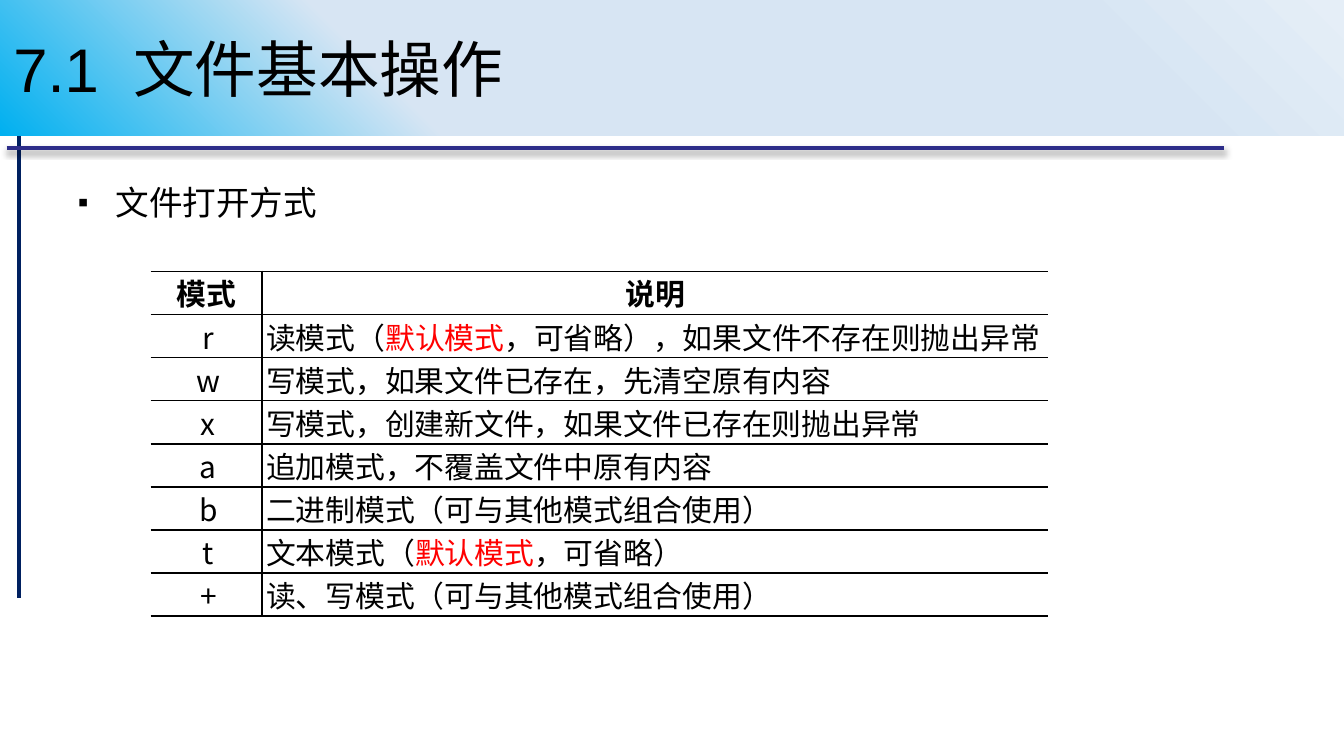
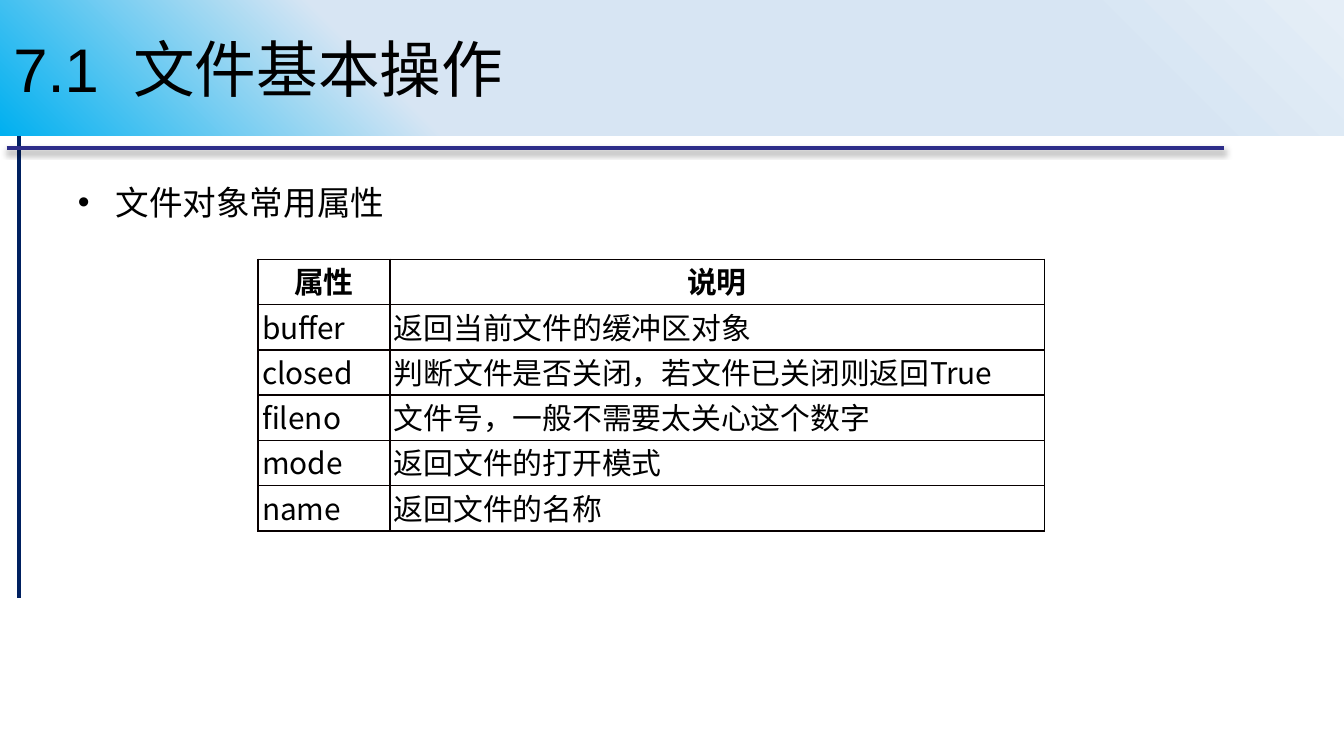
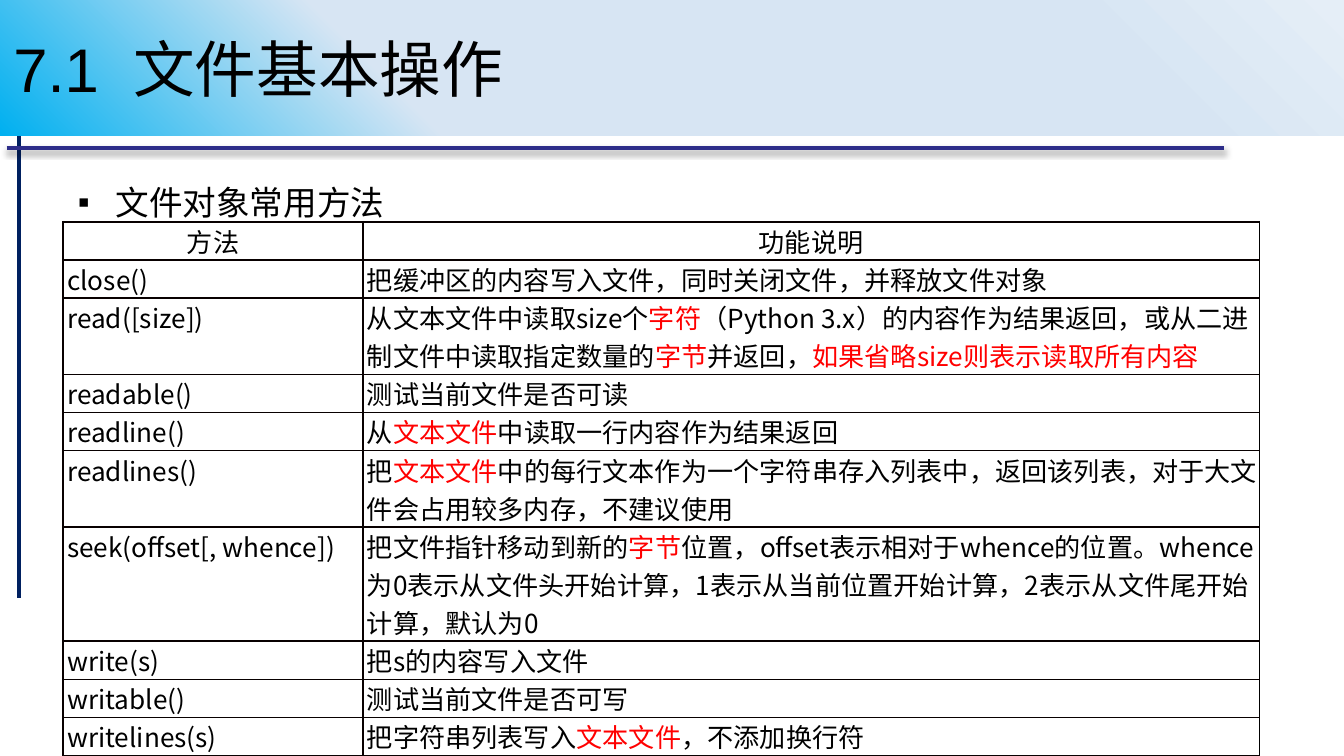
"""Build three slides on basic file operations."""
from lxml.etree import SubElement
from pptx import Presentation
from pptx.dml.color import RGBColor
from pptx.enum.shapes import MSO_CONNECTOR
from pptx.enum.text import MSO_ANCHOR, PP_ALIGN
from pptx.oxml.ns import qn
from pptx.util import Inches, Pt

BLACK = RGBColor(0x00, 0x00, 0x00)
GRID = RGBColor(0x08, 0x00, 0x00)
RED = RGBColor(0xFF, 0x00, 0x00)
NAVY = RGBColor(0x00, 0x20, 0x60)
INDIGO = RGBColor(0x2D, 0x2D, 0x89)
SKY = RGBColor(0x00, 0xB0, 0xF0)
PALE = RGBColor(0xD7, 0xE5, 0xF3)
MIST = RGBColor(0xE5, 0xEE, 0xF7)

LATIN, CJK = "Arial", "Noto Sans CJK SC"
TITLE = "7.1  文件基本操作"
BAND_STOPS = [(0, SKY), (30, PALE), (81, PALE), (100, MIST)]
RULES = [((0.14, 0.81), (0.14, 4.45), NAVY), ((0.05, 1.1), (9.11, 1.1), INDIGO)]

THIN, FULL, INK = (BLACK, 0.75), (GRID, 1), (BLACK, 1)
BOXED = [dict(L=FULL, R=FULL, T=FULL, B=FULL), dict(L=FULL, R=THIN, T=FULL, B=FULL)]
OPEN_SIDED = [dict(R=INK, T=INK, B=INK), dict(L=INK, T=INK, B=INK)]
HIGHLIGHT = "|"

TOPICS = [
    dict(
        heading="文件打开方式", bullet="▪", bullet_size=90,
        at=(1.12, 2.02), columns=(0.83, 5.85), heights=[0.3] + [0.27] * 7,
        size=16, bold_header=True, key_align=PP_ALIGN.CENTER, borders=OPEN_SIDED,
        rows=[
            ("模式", "说明"),
            ("r", "读模式（|默认模式|，可省略），如果文件不存在则抛出异常"),
            ("w", "写模式，如果文件已存在，先清空原有内容"),
            ("x", "写模式，创建新文件，如果文件已存在则抛出异常"),
            ("a", "追加模式，不覆盖文件中原有内容"),
            ("b", "二进制模式（可与其他模式组合使用）"),
            ("t", "文本模式（|默认模式|，可省略）"),
            ("+", "读、写模式（可与其他模式组合使用）"),
        ],
    ),
    dict(
        heading="文件对象常用属性", bullet="•", bullet_size=100,
        at=(1.92, 1.93), columns=(0.98, 4.87), heights=[2.02 / 6] * 6,
        size=16, bold_header=True, key_align=PP_ALIGN.LEFT, borders=BOXED,
        rows=[
            ("属性", "说明"),
            ("buffer", "返回当前文件的缓冲区对象"),
            ("closed", "判断文件是否关闭，若文件已关闭则返回True"),
            ("fileno", "文件号，一般不需要太关心这个数字"),
            ("mode", "返回文件的打开模式"),
            ("name", "返回文件的名称"),
        ],
    ),
    dict(
        heading="文件对象常用方法", bullet="▪", bullet_size=100,
        at=(0.47, 1.65), columns=(2.23, 6.67),
        heights=[0.17, 0.17, 0.35, 0.17, 0.17, 0.35, 0.41, 0.17, 0.17, 0.17],
        size=14, bold_header=False, key_align=PP_ALIGN.LEFT, borders=BOXED,
        rows=[
            ("方法", "功能说明"),
            ("close()", "把缓冲区的内容写入文件，同时关闭文件，并释放文件对象"),
            ("read([size])", "从文本文件中读取size个|字符|（Python 3.x）的内容作为结果返回，"
             "或从二进制文件中读取指定数量的|字节|并返回，|如果省略size则表示读取所有内容"),
            ("readable()", "测试当前文件是否可读"),
            ("readline()\t", "从|文本文件|中读取一行内容作为结果返回"),
            ("readlines()", "把|文本文件|中的每行文本作为一个字符串存入列表中，返回该列表，"
             "对于大文件会占用较多内存，不建议使用"),
            ("seek(offset[, whence])", "把文件指针移动到新的|字节|位置，offset表示相对于whence的位置。"
             "whence为0表示从文件头开始计算，1表示从当前位置开始计算，2表示从文件尾开始计算，默认为0"),
            ("write(s)", "把s的内容写入文件"),
            ("writable()", "测试当前文件是否可写"),
            ("writelines(s)", "把字符串列表写入|文本文件|，不添加换行符"),
        ],
    ),
]


def child(parent, tag, **attributes):
    return SubElement(parent, qn("a:" + tag), {k: str(v) for k, v in attributes.items()})


def add_run(paragraph, text, size, font, color=BLACK, bold=False):
    run = paragraph.add_run()
    run.text = text
    run.font.size, run.font.name, run.font.bold = Pt(size), font, bold
    run.font.color.rgb = color
    child(run.font._element, "ea", typeface=CJK)


def place(shape, left, top, width, height):
    shape.left, shape.top = Inches(left), Inches(top)
    shape.width, shape.height = Inches(width), Inches(height)


def add_rules(slide):
    for number, (start, end, color) in enumerate(RULES):
        ends = [Inches(value) for value in start + end]
        rule = slide.shapes.add_connector(MSO_CONNECTOR.STRAIGHT, *ends)
        rule.line.color.rgb, rule.line.width = color, Pt(2.25)
        effects = child(rule.element.spPr, "effectLst")
        if color == INDIGO:
            shadow = child(effects, "outerShdw", blurRad=Pt(3.1), dist=Pt(1.8),
                           dir=5400000, algn="t", rotWithShape=0)
            child(child(shadow, "srgbClr", val=BLACK), "alpha", val=35000)
        rule.element.nvCxnSpPr.cNvPr.id = 20 + number
        slide.slide_layout.shapes.element.append(rule.element)


def fill_title(title):
    place(title, 0, 0, 10, 1.01)
    gradient = child(title.element.spPr, "gradFill", rotWithShape=1)
    stops = child(gradient, "gsLst")
    for position, color in BAND_STOPS:
        child(child(stops, "gs", pos=position * 1000), "srgbClr", val=color)
    child(child(gradient, "path", path="circle"), "fillToRect", t=100000, r=100000)
    title.text_frame.vertical_anchor = MSO_ANCHOR.MIDDLE
    paragraph = title.text_frame.paragraphs[0]
    paragraph.alignment = PP_ALIGN.LEFT
    add_run(paragraph, TITLE, 33, LATIN)


def fill_heading(body, topic):
    place(body, 0.5, 1.31, 9, 3.71)
    frame = body.text_frame
    frame.margin_left = frame.margin_right = Inches(0.08)
    frame.margin_top = frame.margin_bottom = Inches(0.04)
    paragraph = frame.paragraphs[0]
    properties = paragraph._p.get_or_add_pPr()
    properties.set("marL", str(Inches(0.28)))
    properties.set("indent", str(-Inches(0.28)))
    child(child(properties, "spcBef"), "spcPct", val=15000)
    child(properties, "buSzPct", val=topic["bullet_size"] * 1000)
    child(properties, "buFont", typeface=LATIN)
    child(properties, "buChar", char=topic["bullet"])
    add_run(paragraph, topic["heading"], 18, LATIN)


def set_borders(cell, borders):
    properties = cell._tc.get_or_add_tcPr()
    for index, side in enumerate("LRTB"):
        color, width = borders.get(side, (None, 0))
        edge = child(properties, "ln" + side, w=Pt(width))
        if color is None:
            child(edge, "noFill")
        else:
            child(child(edge, "solidFill"), "srgbClr", val=color)
        properties.insert(index, edge)


def add_grid(slide, topic):
    rows, columns, heights = topic["rows"], topic["columns"], topic["heights"]
    box = [Inches(value) for value in (*topic["at"], sum(columns), sum(heights))]
    grid = slide.shapes.add_table(len(rows), len(columns), *box).table
    grid.first_row = grid.horz_banding = False
    for column, width in zip(grid.columns, columns):
        column.width = Inches(width)
    for r, (row, height) in enumerate(zip(rows, heights)):
        grid.rows[r].height = Inches(height)
        for c, text in enumerate(row):
            cell = grid.cell(r, c)
            cell.margin_left = Inches(0.03 if r else 0)
            cell.margin_right = cell.margin_top = cell.margin_bottom = 0
            cell.fill.background()
            set_borders(cell, topic["borders"][c])
            paragraph = cell.text_frame.paragraphs[0]
            aligns = (topic["key_align"], PP_ALIGN.LEFT)
            paragraph.alignment = aligns[c] if r else PP_ALIGN.CENTER
            for part, words in enumerate(text.split(HIGHLIGHT)):
                add_run(paragraph, words, topic["size"], CJK, RED if part % 2 else BLACK,
                        topic["bold_header"] and r == 0)


def main():
    deck = Presentation()
    deck.slide_width = Inches(10)
    deck.slide_height = deck.slide_width * 9 // 16
    for number, topic in enumerate(TOPICS):
        slide = deck.slides.add_slide(deck.slide_layouts[1])
        if number == 0:
            add_rules(slide)
        fill_title(slide.shapes.title)
        fill_heading(slide.placeholders[1], topic)
        add_grid(slide, topic)
    deck.save("out.pptx")


if __name__ == "__main__":
    main()
